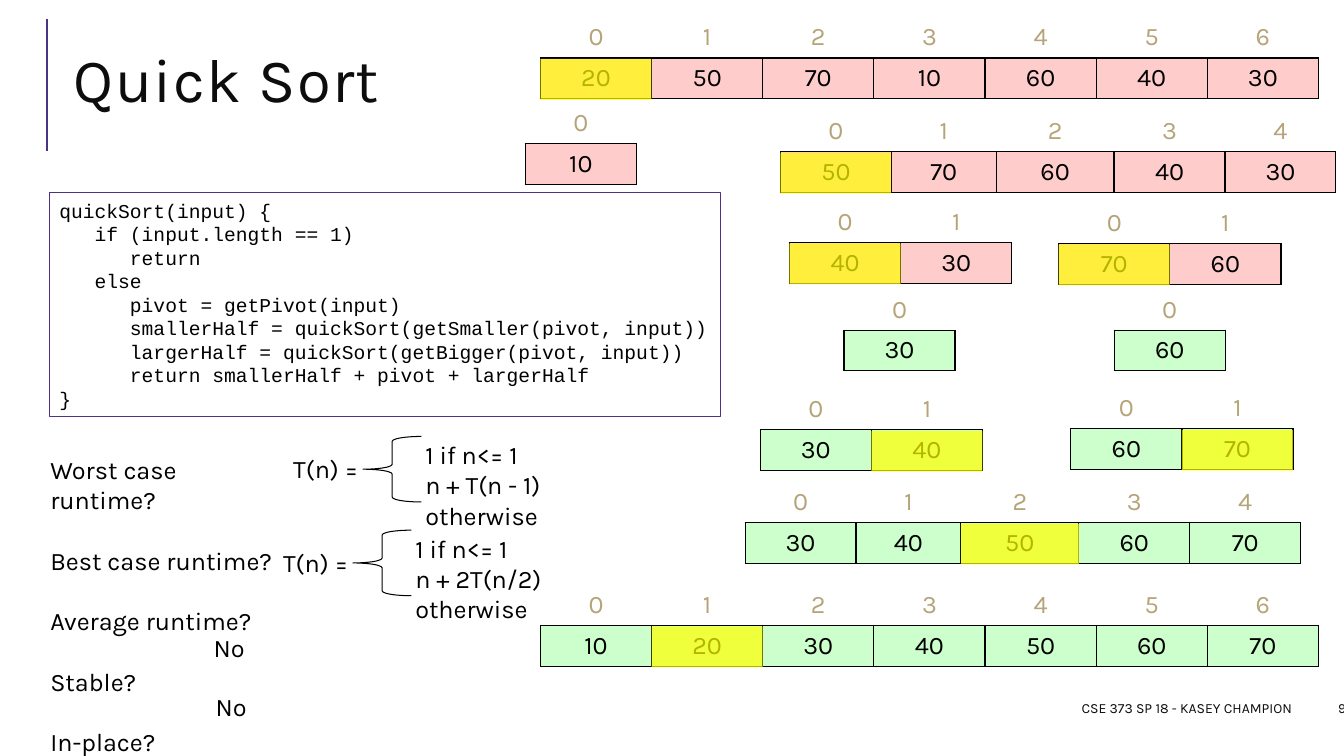
from lxml import etree
from pptx import Presentation
from pptx.dml.color import RGBColor
from pptx.enum.shapes import MSO_CONNECTOR, MSO_SHAPE
from pptx.enum.text import MSO_ANCHOR, PP_ALIGN
from pptx.oxml.ns import qn
from pptx.util import Inches, Pt

LEFT, CENTER, RIGHT = PP_ALIGN.LEFT, PP_ALIGN.CENTER, PP_ALIGN.RIGHT
TOP, MIDDLE = MSO_ANCHOR.TOP, MSO_ANCHOR.MIDDLE
RECTANGLE, LEFT_BRACE = MSO_SHAPE.RECTANGLE, MSO_SHAPE.LEFT_BRACE
STRAIGHT = MSO_CONNECTOR.STRAIGHT

BLACK, INK, PURPLE, GOLD = "000000", "0D0D0D", "4C3282", "B6A479"
PINK, GREEN, YELLOW = "FFCCCC", "CCFFCC", "FFFF00"
CELL_W, ROW_H = 1.1025, 0.405
UNEVEN = [1.1, 1.04, 1.17, 1.1, 1.1]

ARRAYS = [
    (5.36, 0.17, [20, 50, 70, 10, 60, 40, 30], PINK, 0, None),
    (7.74, 1.1, [50, 70, 60, 40, 30], PINK, 0, UNEVEN),
    (5.21, 1.02, [10], PINK, None, None),
    (7.83, 2.0, [40, 30], PINK, 0, None),
    (10.5, 2.01, [70, 60], PINK, 0, None),
    (8.37, 2.87, [30], GREEN, None, None),
    (11.05, 2.87, [60], GREEN, None, None),
    (7.54, 3.86, [30, 40], GREEN, 1, None),
    (10.62, 3.85, [60, 70], GREEN, 1, None),
    (7.39, 4.78, [30, 40, 50, 60, 70], GREEN, 2, UNEVEN),
    (5.36, 5.8, [10, 20, 30, 40, 50, 60, 70], GREEN, 1, None),
]
CODE = [
    "quickSort(input) {",
    "   if (input.length == 1)",
    "      return",
    "   else",
    "      pivot = getPivot(input)",
    "      smallerHalf = quickSort(getSmaller(pivot, input))",
    "      largerHalf = quickSort(getBigger(pivot, input))",
    "      return smallerHalf + pivot + largerHalf",
    "}",
]
QUESTIONS = ["Worst case runtime?", "Best case runtime?", "Average runtime?",
             "Stable?", "In-place?"]
RECURRENCES = [
    (2.81, 4.45, 2.5, ["1 if n<= 1", "n + T(n - 1) otherwise"]),
    (2.71, 5.38, 2.58, ["1 if n<= 1", "n + 2T(n/2) otherwise"]),
]
ANSWERS = [(2.02, 6.22, "No"), (2.04, 6.81, "No")]
FOOTER = [(6.46, 6.45, "CSE 373 SP 18 - KASEY CHAMPION"), (12.99, 0.46, "9")]


def color(value):
    return RGBColor.from_string(value)


def write(frame, lines, size=18, font="Karla", ink=BLACK, align=LEFT,
          anchor=TOP, gap=0, spacing=None, tracking=None):
    if anchor != TOP:
        frame.vertical_anchor = anchor
    for i, line in enumerate(lines):
        paragraph = frame.add_paragraph() if i else frame.paragraphs[0]
        paragraph.alignment = align
        paragraph.line_spacing = spacing
        paragraph.space_after = Pt(gap)
        run = paragraph.add_run()
        run.text = line
        run.font.size = Pt(size)
        run.font.name = font
        run.font.color.rgb = color(ink)
        if tracking:
            run.font._element.set("spc", str(tracking))


def add_text(x, y, w, h, lines, **style):
    frame = slide.shapes.add_textbox(*map(Inches, (x, y, w, h))).text_frame
    frame.word_wrap = True
    write(frame, lines, **style)


def add_outline(kind, x, y, w, h, fill=None, line=None):
    shape = slide.shapes.add_shape(kind, *map(Inches, (x, y, w, h)))
    shape.shadow.inherit = False
    if fill:
        shape.fill.solid()
        shape.fill.fore_color.rgb = color(fill)
    else:
        shape.fill.background()
    if line:
        shape.line.color.rgb = color(line)
        shape.line.width = Pt(0.75)
    else:
        shape.line.fill.background()
    return shape


def add_borders(cell, sides):
    properties = cell._tc.get_or_add_tcPr()
    for i, side in enumerate(sides):
        border = etree.Element(qn(f"a:ln{side}"), w="12700")
        solid = etree.SubElement(border, qn("a:solidFill"))
        etree.SubElement(solid, qn("a:srgbClr"), val=BLACK)
        properties.insert(i, border)


def add_array(x, y, values, fill, pivot, widths):
    widths = widths or [CELL_W] * len(values)
    table = slide.shapes.add_table(
        2, len(values), *map(Inches, (x, y, sum(widths), 2 * ROW_H))).table
    table.first_row = table.horz_banding = False
    for row in table.rows:
        row.height = Inches(ROW_H)
    for i, (value, width) in enumerate(zip(values, widths)):
        table.columns[i].width = Inches(width)
        index, item = table.cell(0, i), table.cell(1, i)
        index.fill.background()
        item.fill.solid()
        item.fill.fore_color.rgb = color(fill)
        add_borders(index, "B")
        add_borders(item, "LRTB")
        for cell, text, ink in ((index, i, GOLD), (item, value, BLACK)):
            cell.vertical_anchor = MIDDLE
            write(cell.text_frame, [str(text)], ink=ink, align=CENTER)
    if pivot is not None:
        marker = add_outline(RECTANGLE, x + sum(widths[:pivot]), y + ROW_H + 0.01,
                             widths[pivot], ROW_H, fill=YELLOW)
        tint = marker._element.spPr.find(f".//{qn('a:srgbClr')}")
        etree.SubElement(tint, qn("a:alpha"), val="70000")


deck = Presentation()
deck.slide_width, deck.slide_height = Inches(13.33), Inches(7.5)
slide = deck.slides.add_slide(deck.slide_layouts[5])

rule = slide.shapes.add_connector(
    STRAIGHT, *map(Inches, (0.47, 1.5, 0.47, 0.19)))
rule.line.color.rgb = color(PURPLE)
rule.line.width = Pt(1.5)
etree.SubElement(rule._element.spPr, qn("a:effectLst"))

title = slide.shapes.title
title.left, title.top, title.width, title.height = map(
    Inches, (0.63, 0.29, 12.23, 1.11))
write(title.text_frame, ["Quick Sort"], size=44, ink=INK, anchor=MIDDLE,
      spacing=0.8, tracking=100)

for x, w, text in FOOTER:
    add_text(x, 6.87, w, 0.3, [text], size=10, ink=INK, align=RIGHT, anchor=MIDDLE)

for array in ARRAYS:
    add_array(*array)

code_box = add_outline(RECTANGLE, 0.49, 1.91, 6.66, 2.22, line=PURPLE)
code_box.text_frame.word_wrap = False
write(code_box.text_frame, CODE, size=14, font="Courier New", anchor=MIDDLE)

add_text(0.4, 4.46, 2.41, 2.83, QUESTIONS, gap=21.6)

for x, y, cases_w, cases in RECURRENCES:
    add_text(x + 1.31, y - 0.14, cases_w, 0.71, cases)
    add_text(x, y, 0.92, 0.4, ["T(n) ="])
    add_outline(LEFT_BRACE, x + 0.79, y - 0.12, 0.58, 0.65, line=BLACK)

for x, y, answer in ANSWERS:
    add_text(x, y, 0.53, 0.4, [answer])

deck.save("out.pptx")
